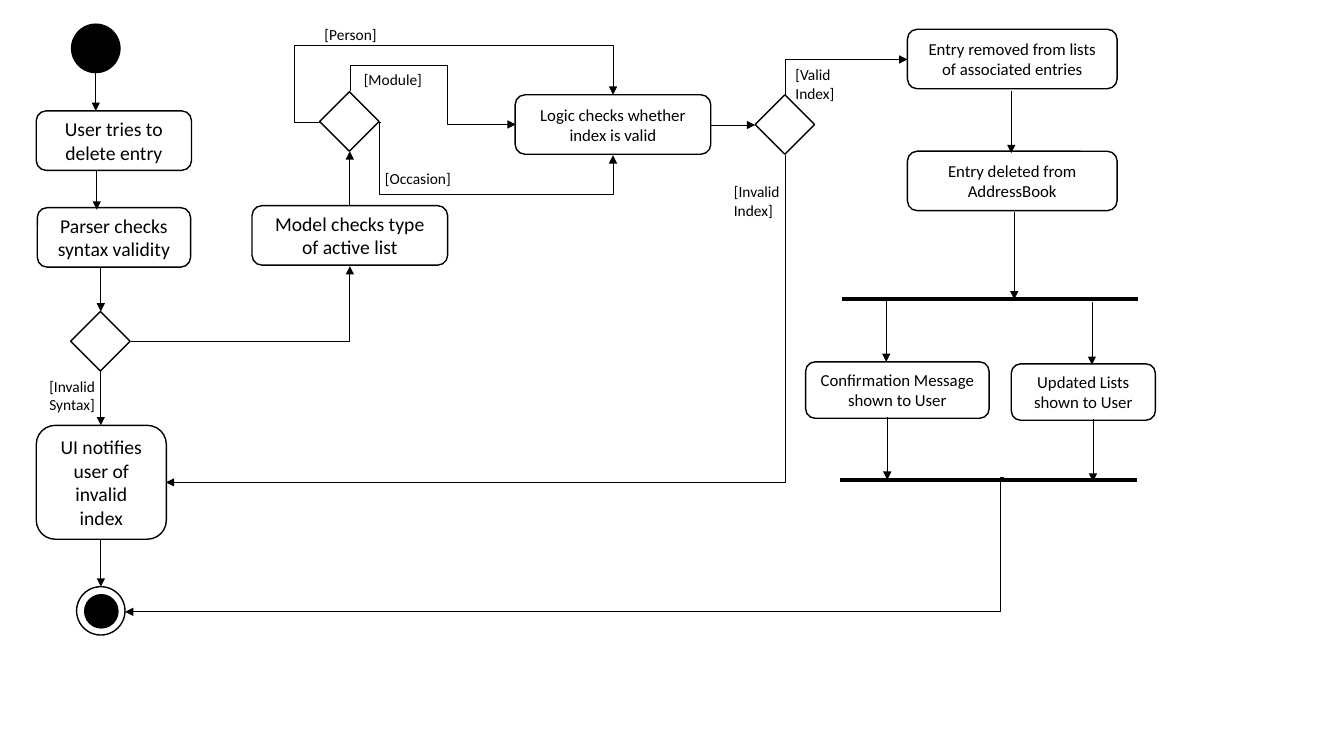
import lxml.etree
import pptx
import pptx.dml.color
import pptx.enum.shapes
import pptx.enum.text
import pptx.oxml.ns
import pptx.util
from pptx.util import Inches

SHAPE = pptx.enum.shapes.MSO_SHAPE
CONNECTOR = pptx.enum.shapes.MSO_CONNECTOR
BLACK = "000000"

ACTIONS = [
    ("User tries to delete entry", 0.36, 1.1, 1.54, 0.59, 14),
    ("Parser checks syntax validity", 0.37, 2.06, 1.52, 0.59, 14),
    ("UI notifies user of invalid index", 0.36, 4.22, 1.29, 1.13, 14),
    ("Model checks type of active list", 2.5, 2.04, 1.94, 0.59, 14),
    ("Logic checks whether index is valid", 5.11, 0.94, 1.94, 0.59, 12),
    ("Entry removed from lists of associated entries", 9, 0.29, 2.08, 0.59, 12),
    ("Entry deleted from AddressBook", 9, 1.5, 2.08, 0.59, 12),
    ("Confirmation Message shown to User", 7.99, 3.59, 1.82, 0.56, 12),
    ("Updated Lists shown to User", 10.03, 3.61, 1.43, 0.56, 12),
]
DECISIONS = [(0.7, 3.09), (3.17, 0.91), (7.49, 0.94)]
GUARDS = [
    ("[Valid Index]", 7.79, 0.6, 0.61, 0.47),
    ("[Person]", 3.12, 0.2, 1.13, 0.29),
    ("[Invalid Syntax]", 0.39, 3.69, 0.71, 0.47),
    ("[Module]", 3.51, 0.65, 1.13, 0.29),
    ("[Occasion]", 3.72, 1.63, 1.13, 0.29),
    ("[Invalid Index]", 7.18, 1.76, 0.86, 0.47),
]
ARROWS = [
    ((0.95, 0.72), (0.95, 1.1)),
    ((0.96, 1.7), (0.96, 2.08)),
    ((1, 2.65), (1, 3.09)),
    ((1, 3.68), (1, 4.22)),
    ((1, 5.35), (1, 5.82)),
    ((3.47, 2.04), (3.47, 1.5)),
    ((7.05, 1.24), (7.49, 1.24)),
    ((10.03, 0.9), (10.03, 1.52)),
    ((10.06, 2.1), (10.06, 2.97)),
    ((8.79, 2.97), (8.79, 3.59)),
    ((10.83, 3), (10.83, 3.62)),
    ((8.8, 4.14), (8.8, 4.76)),
    ((10.84, 4.16), (10.84, 4.78)),
]
BARS = [((8.35, 2.97), (11.29, 2.97)), ((8.33, 4.76), (11.28, 4.76))]
ELBOWS = [
    ("bentConnector2", (3.09, 0.09), (6.34, 6.23), 90, []),
    ("bentConnector2", (1.3, 3.39), (3.47, 2.64), 0, []),
    ("bentConnector4", (6.08, 0.94), (3.17, 1.21), 180, [-8600, 281900]),
    ("bentConnector4", (4.46, 0.25), (4.13, 1.89), 270, [-76700, 59000]),
    ("bentConnector4", (3.77, 1.21), (6.08, 1.54), 0, [-200, 216400]),
    ("bentConnector2", (8.57, 1.37), (8.22, 0.16), 90, []),
    ("bentConnector3", (1.24, 6.07), (9.96, 4.74), 180, [400]),
]


def color(value):
    """Turn a hex string into a colour."""
    return pptx.dml.color.RGBColor.from_string(value)


def add_child(parent, tag, **attributes):
    """Append an XML element with the given attributes."""
    lxml.etree.SubElement(parent, pptx.oxml.ns.qn(tag), attributes)


def write(frame, text, size):
    """Put one paragraph of black text in a wrapping frame."""
    frame.word_wrap = True
    para = frame.paragraphs[0]
    para.text = text
    para.font.name = "Calibri"
    para.font.size = pptx.util.Pt(size)
    para.font.color.rgb = color(BLACK)
    return para


def add_node(shapes, kind, left, top, width, height, fill=None):
    """Draw a black-outlined shape, filled only when a fill is given."""
    node = shapes.add_shape(kind, Inches(left), Inches(top), Inches(width), Inches(height))
    node.shadow.inherit = False
    if fill:
        node.fill.solid()
        node.fill.fore_color.rgb = color(fill)
    else:
        node.fill.background()
    node.line.color.rgb = color(BLACK)
    node.line.width = pptx.util.Pt(1)
    return node


def add_action(shapes, text, left, top, width, height, size):
    """Draw a rounded action box with centred text."""
    box = add_node(shapes, SHAPE.ROUNDED_RECTANGLE, left, top, width, height)
    box.text_frame.vertical_anchor = pptx.enum.text.MSO_ANCHOR.MIDDLE
    write(box.text_frame, text, size).alignment = pptx.enum.text.PP_ALIGN.CENTER


def add_guard(shapes, text, left, top, width, height):
    """Write the condition beside a branch."""
    box = shapes.add_textbox(Inches(left), Inches(top), Inches(width), Inches(height))
    write(box.text_frame, text, 11)
    box.text_frame.auto_size = pptx.enum.text.MSO_AUTO_SIZE.SHAPE_TO_FIT_TEXT


def add_line(shapes, start, end, weight=0.5, arrow=True, kind=CONNECTOR.STRAIGHT):
    """Draw a black connector, with an arrowhead unless told otherwise."""
    line = shapes.add_connector(kind, *(Inches(length) for length in start + end))
    line.line.color.rgb = color(BLACK)
    line.line.width = pptx.util.Pt(weight)
    properties = line.element.spPr
    if arrow:
        add_child(properties.find(pptx.oxml.ns.qn("a:ln")), "a:tailEnd", type="triangle")
    add_child(properties, "a:effectLst")
    return line


def add_elbow(shapes, preset, start, end, turn, adjustments):
    """Draw a bent arrow whose ends are given before it is turned."""
    line = add_line(shapes, start, end, kind=CONNECTOR.ELBOW)
    properties = line.element.spPr
    properties.find(pptx.oxml.ns.qn("a:xfrm")).set("rot", str(turn * 60000))
    geometry = properties.find(pptx.oxml.ns.qn("a:prstGeom"))
    geometry.set("prst", preset)
    guides = geometry.find(pptx.oxml.ns.qn("a:avLst"))
    for number, value in enumerate(adjustments, 1):
        add_child(guides, "a:gd", name=f"adj{number}", fmla=f"val {value}")


def main():
    """Build the activity diagram and save it."""
    deck = pptx.Presentation()
    deck.slide_width = Inches(13.33)
    deck.slide_height = Inches(7.5)
    shapes = deck.slides.add_slide(deck.slide_layouts[6]).shapes

    add_node(shapes, SHAPE.OVAL, 0.71, 0.24, 0.48, 0.48, BLACK)
    for action in ACTIONS:
        add_action(shapes, *action)
    for left, top in DECISIONS:
        add_node(shapes, SHAPE.DIAMOND, left, top, 0.59, 0.59)
    for guard in GUARDS:
        add_guard(shapes, *guard)
    for start, end in ARROWS:
        add_line(shapes, start, end)
    for start, end in BARS:
        add_line(shapes, start, end, weight=3, arrow=False)
    for elbow in ELBOWS:
        add_elbow(shapes, *elbow)

    final_node = shapes.add_group_shape().shapes
    add_node(final_node, SHAPE.OVAL, 0.76, 5.82, 0.48, 0.48)
    add_node(final_node, SHAPE.OVAL, 0.84, 5.9, 0.33, 0.33, BLACK)
    deck.save("out.pptx")


if __name__ == "__main__":
    main()
